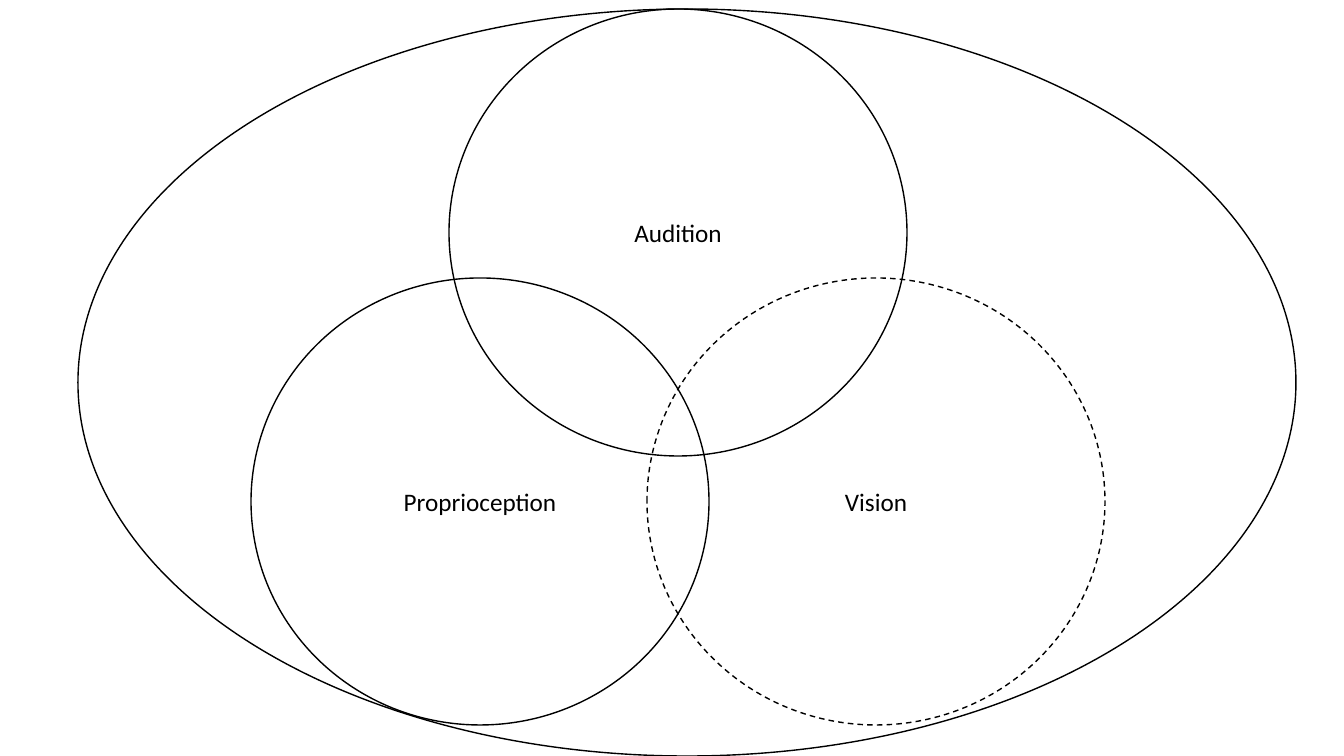
from dataclasses import dataclass

from pptx import Presentation
from pptx import util as u
from pptx.dml.color import RGBColor
from pptx.enum import dml, shapes, text

PX = 914400 / 100.8  # EMU in one px


@dataclass(frozen=True)
class Theme:
    ink: RGBColor = RGBColor(0, 0, 0)
    font: str = "Calibri"
    size: int = 18
    line: int = 1


THEME = Theme()


def px(n):
    return u.Emu(round(n * PX))


def add_oval(slide, left, top, width, height, dashed=False):
    """Add an unfilled outline."""
    oval = slide.shapes.add_shape(
        shapes.MSO_SHAPE.OVAL, px(left), px(top), px(width), px(height))
    oval.shadow.inherit = False
    oval.fill.background()
    oval.line.color.rgb = THEME.ink
    oval.line.width = u.Pt(THEME.line)
    if dashed:
        oval.line.dash_style = dml.MSO_LINE.DASH
    return oval


def add_label(oval, label):
    """Write centred text inside an oval."""
    frame = oval.text_frame
    frame.text = label
    frame.word_wrap = True
    frame.vertical_anchor = text.MSO_ANCHOR.MIDDLE
    para = frame.paragraphs[0]
    para.alignment = text.PP_ALIGN.CENTER
    font = para.runs[0].font
    font.name = THEME.font
    font.size = u.Pt(THEME.size)
    font.color.rgb = THEME.ink


def main():
    deck = Presentation()
    deck.slide_width, deck.slide_height = px(1344), px(756)
    slide = deck.slides.add_slide(deck.slide_layouts[6])

    # Three senses, half a step apart
    left, step, width, height = 251, 198, 458, 447
    high, low = 9, 278
    senses = [("Proprioception", low, False),
              ("Audition", high, False),
              ("Vision", low, True)]
    for i, (label, top, dashed) in enumerate(senses):
        oval = add_oval(slide, left + i * step, top, width, height, dashed)
        add_label(oval, label)

    # Outer boundary around all senses
    add_oval(slide, 78, high, 1218, 747)

    deck.save("out.pptx")


if __name__ == "__main__":
    main()
